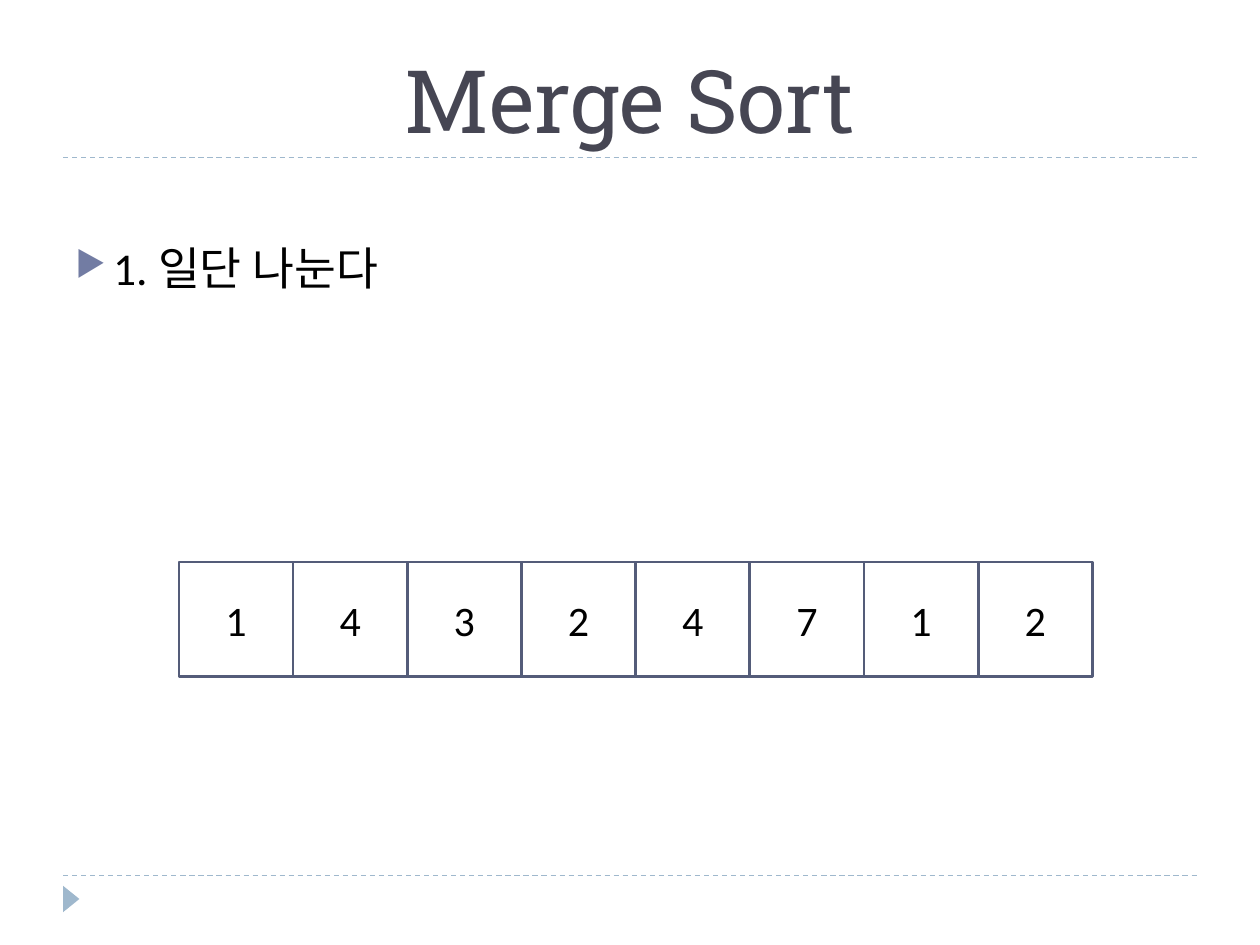
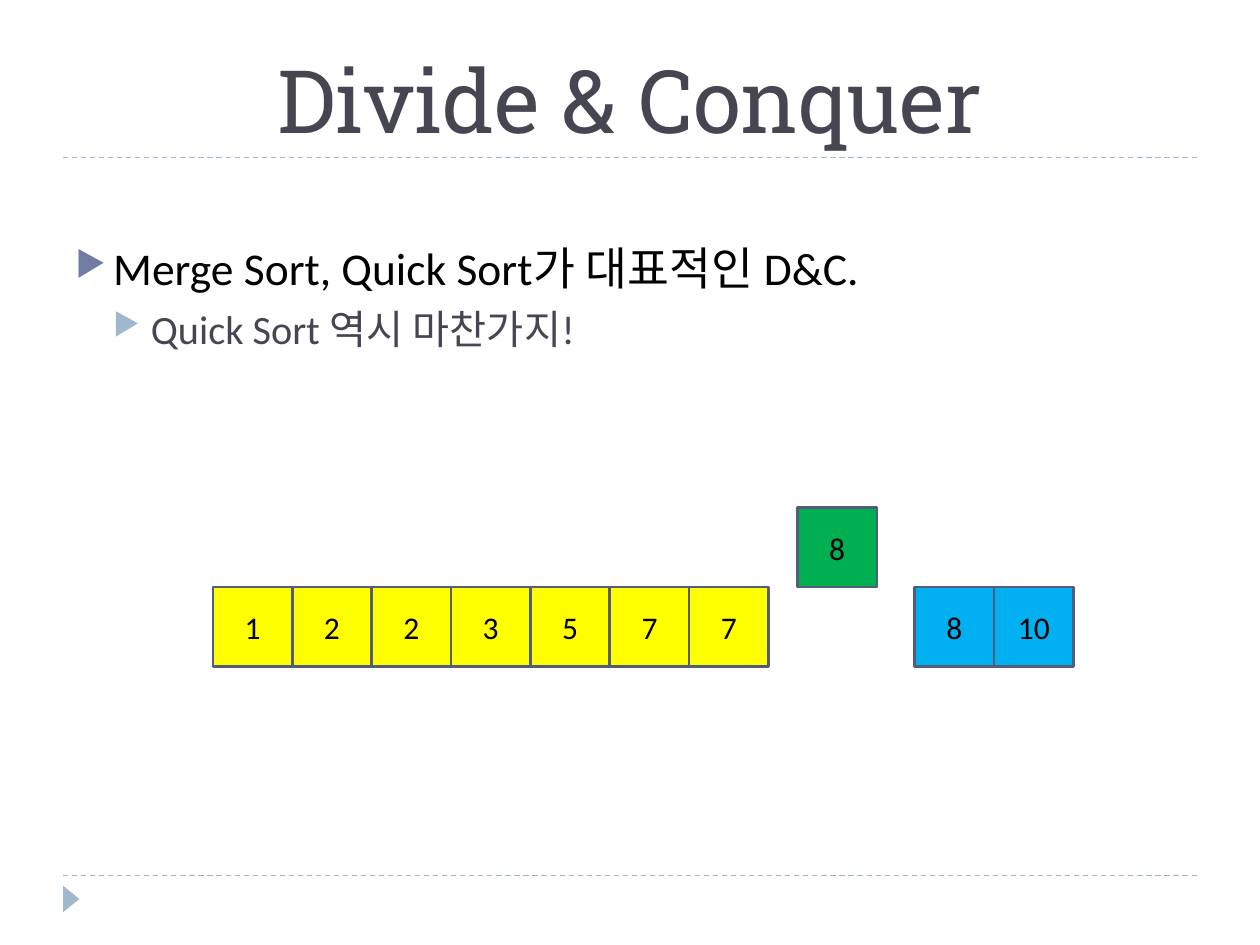
import pptx
import pptx.util
import pptx.dml.color
import pptx.enum.dml
import pptx.enum.shapes
import pptx.enum.text
import pptx.oxml.ns
import lxml.etree

Inches = pptx.util.Inches
Pt = pptx.util.Pt
qn = pptx.oxml.ns.qn
SHAPE = pptx.enum.shapes.MSO_SHAPE
ANCHOR = pptx.enum.text.MSO_ANCHOR
ALIGN = pptx.enum.text.PP_ALIGN

COLORS = {
    "title": "464653",
    "text": "000000",
    "accent": "727CA3",
    "rule": "9FB8CD",
    "cell_line": "545C79",
    "white": "FFFFFF",
    "yellow": "FFFF00",
    "green": "00B050",
    "blue": "00B0F0",
}
HEAD_FONT = "Roboto Slab"
BODY_FONT = "Calibri"
LEVELS = [
    {"size": 26, "color": "text", "bullet": "accent", "before": 6},
    {"size": 23, "color": "title", "bullet": "rule", "before": 5},
]
INDENT = 0.3


def rgb(name):
    return pptx.dml.color.RGBColor.from_string(COLORS[name])


def add_run(p, text, size, color, font=BODY_FONT):
    r = p.add_run()
    r.text = text
    r.font.size = Pt(size)
    r.font.name = font
    r.font.color.rgb = rgb(color)
    ea = lxml.etree.SubElement(r.font._element, qn("a:ea"))
    ea.set("typeface", font)


def add_text_frame(s, box, anchor):
    tf = s.shapes.add_textbox(*map(Inches, box)).text_frame
    tf.word_wrap = True
    tf.vertical_anchor = anchor
    return tf


def add_rule(s, left, top, width):
    line = s.shapes.add_connector(
        pptx.enum.shapes.MSO_CONNECTOR.STRAIGHT,
        Inches(left), Inches(top), Inches(left + width), Inches(top))
    line.line.color.rgb = rgb("rule")
    line.line.width = Pt(0.75)
    line.line.dash_style = pptx.enum.dml.MSO_LINE.DASH
    lxml.etree.SubElement(line._element.spPr, qn("a:effectLst"))


def add_frame(s):
    for top in (6.95, 1.25):
        add_rule(s, 0.5, top, 9)
    marker = s.shapes.add_shape(
        SHAPE.ISOSCELES_TRIANGLE, *map(Inches, (0.46, 7.07, 0.21, 0.13)))
    marker.rotation = 90
    marker.shadow.inherit = False
    marker.fill.solid()
    marker.fill.fore_color.rgb = rgb("rule")
    marker.line.fill.background()


def add_title(s, box, title):
    p = add_text_frame(s, box, ANCHOR.BOTTOM).paragraphs[0]
    p.alignment = ALIGN.CENTER
    add_run(p, title, 50, "title", HEAD_FONT)


def set_bullet(p, level):
    pPr = p._p.get_or_add_pPr()
    pPr.set("marL", str(Inches(INDENT * (level + 1))))
    pPr.set("indent", str(-Inches(INDENT)))
    color = lxml.etree.SubElement(pPr, qn("a:buClr"))
    lxml.etree.SubElement(color, qn("a:srgbClr")).set(
        "val", COLORS[LEVELS[level]["bullet"]])
    lxml.etree.SubElement(pPr, qn("a:buSzPct")).set("val", "76000")
    lxml.etree.SubElement(pPr, qn("a:buChar")).set("char", "▶")


def add_bullets(s, box, bullets):
    tf = add_text_frame(s, box, ANCHOR.TOP)
    for i, (level, text) in enumerate(bullets):
        style = LEVELS[level]
        p = tf.add_paragraph() if i else tf.paragraphs[0]
        p.level = level
        set_bullet(p, level)
        if i:
            p.space_before = Pt(style["before"])
        add_run(p, text, style["size"], style["color"])


def add_array(s, box, values, fill, size):
    left, top, width, height = box
    step = width / len(values)
    for i, value in enumerate(values):
        cell = s.shapes.add_shape(
            SHAPE.RECTANGLE,
            *map(Inches, (left + i * step, top, step, height)))
        cell.shadow.inherit = False
        cell.fill.solid()
        cell.fill.fore_color.rgb = rgb(fill)
        cell.line.color.rgb = rgb("cell_line")
        cell.line.width = Pt(1.5)
        tf = cell.text_frame
        tf.word_wrap = True
        tf.vertical_anchor = ANCHOR.MIDDLE
        p = tf.paragraphs[0]
        p.alignment = ALIGN.CENTER
        add_run(p, str(value), size, "text")


def add_content_slide(prs, title, bullets):
    s = prs.slides.add_slide(prs.slide_layouts[6])
    add_frame(s)
    add_title(s, (0.5, 0.17, 9, 1.08), title)
    add_bullets(s, (0.5, 1.86, 9, 4.87), bullets)
    return s


def add_merge_sort(prs):
    s = add_content_slide(prs, "Merge Sort", [(0, "1. 일단 나눈다")])
    add_array(s, (1.42, 4.46, 7.25, 0.91), [1, 4, 3, 2, 4, 7, 1, 2], "white", 24)


def add_divide_conquer(prs):
    s = add_content_slide(prs, "Divide & Conquer", [
        (0, "Merge Sort, Quick Sort가 대표적인 D&C."),
        (1, "Quick Sort 역시 마찬가지!"),
    ])
    side = 0.63
    row_top = 4.66
    partitions = [
        (1.69, row_top, [1, 2, 2, 3, 5, 7, 7], "yellow"),
        (7.26, row_top, [8, 10], "blue"),
        (6.33, row_top - side, [8], "green"),
    ]
    for left, top, values, fill in partitions:
        add_array(s, (left, top, side * len(values), side), values, fill, 18)


def main():
    prs = pptx.Presentation()
    prs.slide_width = Inches(10)
    prs.slide_height = Inches(7.5)
    add_merge_sort(prs)
    add_divide_conquer(prs)
    prs.save("out.pptx")


if __name__ == "__main__":
    main()
